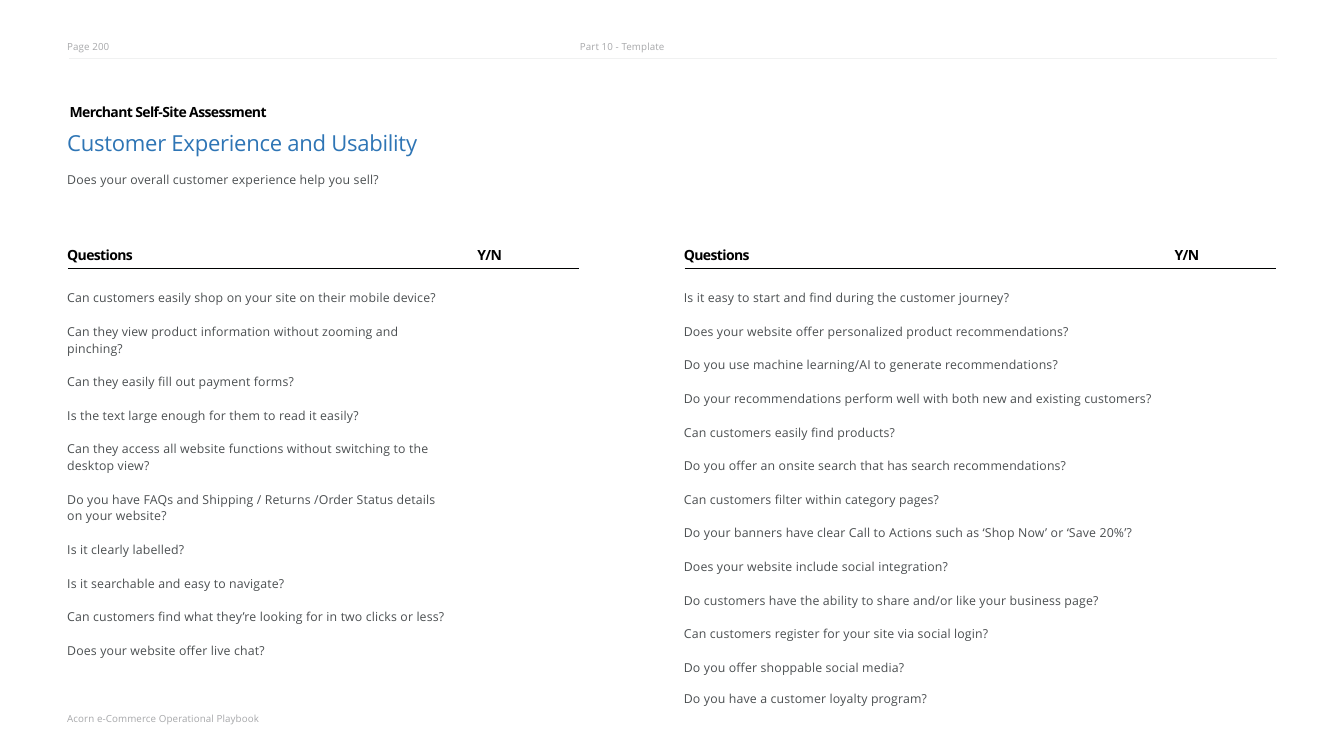
from lxml import etree
from pptx import Presentation
from pptx.dml.color import RGBColor
from pptx.enum.shapes import MSO_CONNECTOR
from pptx.oxml.ns import qn
from pptx.util import Inches, Pt

GRAY, BLACK, BLUE, SLATE = "A7A8AA", "000000", "2E75B5", "4B4F51"
SMALL = (11.5, GRAY, False, 0.1)
HEADING = (16.5, BLACK, True, -0.7)
TITLE = (26, BLUE, False, -0.35)
BODY = (14.5, SLATE, False, 0.17)

presentation = Presentation()
presentation.slide_width = Inches(21.99)
presentation.slide_height = Inches(12.37)
slide = presentation.slides.add_slide(presentation.slide_layouts[6])


def add_text(left, top, width, height, inset, paragraphs):
    shape = slide.shapes.add_textbox(Inches(left), Inches(top), Inches(width), Inches(height))
    text_frame = shape.text_frame
    text_frame.word_wrap = True
    text_frame.margin_left = Inches(0.01)
    text_frame.margin_right = text_frame.margin_bottom = 0
    text_frame.margin_top = Inches(inset)
    text_frame.text = "\n".join(text for text, style, space in paragraphs)
    for paragraph, (text, style, space) in zip(text_frame.paragraphs, paragraphs):
        size, color, bold, tracking = style
        paragraph.space_before = Pt(space)
        for run in paragraph.runs:
            run.font.name = "Open Sans"
            run.font.size = Pt(size)
            run.font.bold = bold
            run.font.color.rgb = RGBColor.from_string(color)
            run.font._element.set("spc", str(round(tracking * 100)))
    return shape


def add_rule(left, right, top, color, width):
    connector = slide.shapes.add_connector(
        MSO_CONNECTOR.STRAIGHT, Inches(left), Inches(top), Inches(right), Inches(top))
    connector.line.color.rgb = RGBColor.from_string(color)
    connector.line.width = Pt(width)
    etree.SubElement(connector._element.spPr, qn("a:effectLst"))


add_rule(1.13, 20.89, 0.96, "F0F1F1", 0.5)
add_text(1.09, 0.65, 0.8, 0.22, 0.01, [("Page 200", SMALL, 0)])
add_text(9.48, 0.65, 1.6, 0.22, 0.01, [("Part 10 - Template", SMALL, 0)])

title = add_text(1.09, 1.59, 5.9, 1.49, 0.1, [
    ("Merchant Self-Site Assessment", HEADING, 0),
    ("Customer Experience and Usability", TITLE, 10.7),
    ("Does your overall customer experience help you sell?", BODY, 19.4),
])
title.text_frame.paragraphs[0]._p.get_or_add_pPr().set("marL", str(Inches(0.04)))

mobile_questions = [
    ["Can customers easily shop on your site on their mobile device?"],
    ["Can they view product information without zooming and", "pinching?"],
    ["Can they easily fill out payment forms?"],
    ["Is the text large enough for them to read it easily?"],
    ["Can they access all website functions without switching to the", "desktop view?"],
    ["Do you have FAQs and Shipping / Returns /Order Status details", "on your website?"],
    ["Is it clearly labelled?"],
    ["Is it searchable and easy to navigate?"],
    ["Can customers find what they’re looking for in two clicks or less?"],
    ["Does your website offer live chat?"],
]
journey_questions = [
    ["Is it easy to start and find during the customer journey?"],
    ["Does your website offer personalized product recommendations?"],
    ["Do you use machine learning/AI to generate recommendations?"],
    ["Do your recommendations perform well with both new and existing customers?"],
    ["Can customers easily find products?"],
    ["Do you offer an onsite search that has search recommendations?"],
    ["Can customers filter within category pages?"],
    ["Do your banners have clear Call to Actions such as ‘Shop Now’ or ‘Save 20%’?"],
    ["Does your website include social integration?"],
    ["Do customers have the ability to share and/or like your business page?"],
    ["Can customers register for your site via social login?"],
    ["Do you offer shoppable social media?", "Do you have a customer loyalty program?"],
]

columns = [
    (1.09, 9.48, 7.8, 6.5, 2.4, mobile_questions),
    (11.18, 20.88, 19.21, 8, 19.5, journey_questions),
]
for left, right, answer_left, width, line_gap, questions in columns:
    add_rule(left + 0.02, right, 4.39, "000101", 0.82)
    add_text(left, 4.02, 1.3, 0.3, 0.01, [("Questions", HEADING, 0)])
    add_text(answer_left, 4.02, 0.6, 0.3, 0.01, [("Y/N", HEADING, 0)])
    top = 4.73
    for lines in questions:
        extra = (len(lines) - 1) * (0.24 + line_gap / 72)
        add_text(left, top, width, 0.28 + extra, 0.02,
                 [(line, BODY, line_gap if number else 0) for number, line in enumerate(lines)])
        top += 0.55 + extra

add_text(1.09, 11.63, 3.4, 0.25, 0.03, [("Acorn e-Commerce Operational Playbook", SMALL, 0)])

presentation.save("out.pptx")
